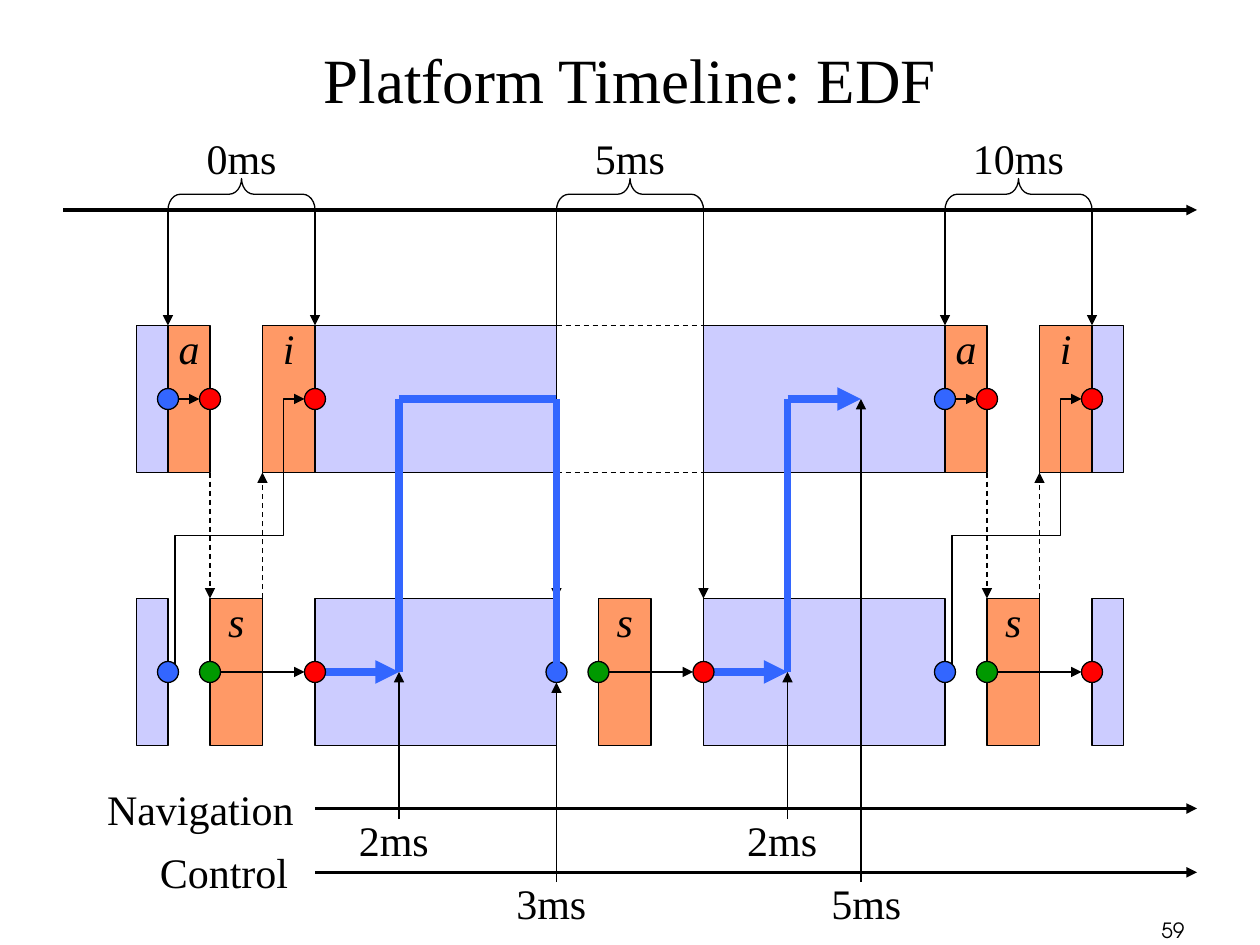
from lxml.etree import SubElement
from pptx import Presentation
from pptx.dml.color import RGBColor
from pptx.enum.dml import MSO_LINE as Dash
from pptx.enum.shapes import MSO_CONNECTOR as Connector, MSO_SHAPE as Shape
from pptx.enum.text import MSO_ANCHOR as Anchor, MSO_AUTO_SIZE as AutoSize, PP_ALIGN as Align
from pptx.oxml.ns import qn
from pptx.util import Pt

THEME = {
    "black": "000000", "idle": "CCCCFF", "task": "FF9966",
    "blue": "3366FF", "green": "009900", "red": "FF0000",
    "font": "Times New Roman", "number_font": "TeX Gyre Adventor",
    "title": 36, "label": 24, "number": 12,
    "thin": 0.75, "axis": 2, "flow": 4.5,
}
TITLE = "Platform Timeline: EDF"
SLIDE_NUMBER = "59"

HALF, CYCLE = 222, 444
AXIS, UPPER, LOWER, BLOCK = 120, 186, 342, 84
UPPER_MIDDLE, LOWER_MIDDLE = UPPER + BLOCK / 2, LOWER + BLOCK / 2
UPPER_END = UPPER + BLOCK
BRACE_WIDTH, BRACE_HEIGHT = 84, 18
RADIUS = 6

IDLE_BLOCKS = [(x, y, width) for y in (UPPER, LOWER)
               for x, width in ((78, 18), (180, 138), (402, 138), (624, 18))]
TASKS = [("s", 342, LOWER, 30)] + [
    (name, x + shift, y, width) for shift in (0, CYCLE)
    for name, x, y, width in (("a", 96, UPPER, 24), ("i", 150, UPPER, 30), ("s", 120, LOWER, 30))]
BLUE_DOTS = [(96, UPPER_MIDDLE), (96, LOWER_MIDDLE), (318, LOWER_MIDDLE),
             (540, UPPER_MIDDLE), (540, LOWER_MIDDLE)]
GREEN_DOTS = [(x, LOWER_MIDDLE) for x in (120, 342, 564)]
RED_DOTS = [(x, UPPER_MIDDLE) for x in (120, 180, 564, 624)] + [
    (x, LOWER_MIDDLE) for x in (180, 402, 624)]

AXES = [(36, AXIS), (180, 462), (180, 498.5)]
AXIS_END = 684
WINDOWS = [(96, UPPER), (318, LOWER), (540, UPPER)]
FLOW = [
    (180, LOWER_MIDDLE, 228, LOWER_MIDDLE, True),
    (228, UPPER_MIDDLE, 318, UPPER_MIDDLE, False),
    (450, UPPER_MIDDLE, 492, UPPER_MIDDLE, True),
    (228, LOWER_MIDDLE, 228, UPPER_MIDDLE, False),
    (318, LOWER_MIDDLE, 318, UPPER_MIDDLE, False),
    (450, LOWER_MIDDLE, 450, UPPER_MIDDLE, False),
    (402, LOWER_MIDDLE, 450, LOWER_MIDDLE, True),
]
MARKS = [(228, 468, LOWER_MIDDLE), (450, 468, LOWER_MIDDLE),
         (492, 504, UPPER_MIDDLE), (318, 504, LOWER_MIDDLE + RADIUS)]
LABELS = [
    ("0ms", 138, 72, 56), ("5ms", 138 + HALF, 72, 56), ("10ms", 138 + CYCLE, 72, 68),
    ("2ms", 225, 462, 56), ("2ms", 225 + HALF, 462, 56),
    ("3ms", 315, 498, 56), ("5ms", 495, 498, 56),
    ("Navigation", 114.5, 444, 122), ("Control", 128, 480, 90),
]

presentation = Presentation()
presentation.slide_width, presentation.slide_height = Pt(720), Pt(540)
slide = presentation.slides.add_slide(presentation.slide_layouts[5])
shapes = slide.shapes
side_middles = {}


def color(name):
    return RGBColor.from_string(THEME[name])


def apply(target, formats):
    for name, value in formats.items():
        setattr(target, name, value)


def write(shape, text, size="label", font="font", align=Align.CENTER, italic=False, **frame):
    apply(shape.text_frame, {"word_wrap": False, **frame})
    paragraph = shape.text_frame.paragraphs[0]
    paragraph.alignment = align
    run = paragraph.add_run()
    run.text = text
    apply(run.font, {"name": THEME[font], "size": Pt(THEME[size]), "italic": italic})
    run.font.color.rgb = color("black")


def add_preset(preset, x, y, width, height, fill=None):
    shape = shapes.add_shape(preset, Pt(x), Pt(y), Pt(width), Pt(height))
    shape.shadow.inherit = False
    if fill:
        shape.fill.solid()
        shape.fill.fore_color.rgb = color(fill)
    else:
        shape.fill.background()
    shape.line.color.rgb = color("black")
    shape.line.width = Pt(THEME["thin"])
    return shape


def add_block(x, y, width, fill):
    block = add_preset(Shape.RECTANGLE, x, y, width, BLOCK, fill)
    side_middles[x, y + BLOCK / 2] = block, 1
    side_middles[x + width, y + BLOCK / 2] = block, 3
    return block


def add_dots(points, fill):
    for x, y in points:
        add_preset(Shape.OVAL, x - RADIUS, y - RADIUS, 2 * RADIUS, 2 * RADIUS, fill)


def style_line(connector, arrow, ink, width, dashed=False):
    connector.line.color.rgb = color(ink)
    connector.line.width = Pt(THEME[width])
    if dashed:
        connector.line.dash_style = Dash.DASH
    if arrow:
        outline = connector._element.spPr.find(qn("a:ln"))
        SubElement(outline, qn("a:tailEnd"), type="triangle")
    SubElement(connector._element.spPr, qn("a:effectLst"))


def add_line(x1, y1, x2, y2, arrow=True, ink="black", width="thin", dashed=False):
    line = shapes.add_connector(Connector.STRAIGHT, Pt(x1), Pt(y1), Pt(x2), Pt(y2))
    for point, join in (((x1, y1), line.begin_connect), ((x2, y2), line.end_connect)):
        if point in side_middles:
            join(*side_middles[point])
    style_line(line, arrow, ink, width, dashed)


def add_rising_elbow(x1, y1, x2, y2, preset, arrow, bend=None):
    length, breadth = y1 - y2, x2 - x1
    left, top = (x1 + x2 - length) / 2, (y1 + y2 - breadth) / 2
    elbow = shapes.add_connector(Connector.ELBOW, Pt(left), Pt(top),
                                 Pt(left + length), Pt(top + breadth))
    properties = elbow._element.spPr
    for name, value in {"rot": "5400000", "flipH": "1", "flipV": "1"}.items():
        properties.find(qn("a:xfrm")).set(name, value)
    geometry = properties.find(qn("a:prstGeom"))
    geometry.set("prst", preset)
    if bend:
        SubElement(geometry.find(qn("a:avLst")), qn("a:gd"), name="adj1", fmla=f"val {bend}")
    style_line(elbow, arrow, "black", "thin")


title = shapes.title
apply(title, {"left": Pt(36), "top": Pt(0), "width": Pt(648), "height": Pt(90)})
write(title, TITLE, "title", word_wrap=True, vertical_anchor=Anchor.MIDDLE)

for x, y, width in IDLE_BLOCKS:
    add_block(x, y, width, "idle")
for y in (UPPER, UPPER_END):
    add_line(318, y, 402, y, False, dashed=True)
for x in (318, 402):
    add_line(x, UPPER_END, x, UPPER, False, ink="idle")
for name, x, y, width in TASKS:
    write(add_block(x, y, width, "task"), name, italic=True,
          vertical_anchor=Anchor.MIDDLE, margin_top=Pt(0), margin_bottom=Pt(59))

add_dots(BLUE_DOTS, "blue")
add_dots(GREEN_DOTS, "green")

for shift in (0, CYCLE):
    add_line(102 + shift, UPPER_MIDDLE, 114 + shift, UPPER_MIDDLE)
    add_line(120 + shift, UPPER_END, 120 + shift, LOWER, dashed=True)
    add_line(150 + shift, LOWER, 150 + shift, UPPER_END, dashed=True)
    add_rising_elbow(100 + shift, 379.5, 162 + shift, 258, "bentConnector3", False, 60400)
    add_line(162 + shift, 264, 162 + shift, 246, False)
    add_rising_elbow(162 + shift, 246, 174 + shift, UPPER_MIDDLE, "bentConnector2", True)
for shift in (0, HALF, CYCLE):
    add_line(126 + shift, LOWER_MIDDLE, 174 + shift, LOWER_MIDDLE)

for x, y in AXES:
    add_line(x, y, AXIS_END, y, width="axis")
for x, bottom in WINDOWS:
    for edge in (x, x + BRACE_WIDTH):
        add_line(edge, AXIS, edge, bottom)
    brace = add_preset(Shape.LEFT_BRACE, x + (BRACE_WIDTH - BRACE_HEIGHT) / 2,
                       AXIS - (BRACE_WIDTH + BRACE_HEIGHT) / 2, BRACE_HEIGHT, BRACE_WIDTH)
    brace.rotation = 90
    brace.adjustments[0] = 0.39

for x1, y1, x2, y2, arrow in FLOW:
    add_line(x1, y1, x2, y2, arrow, "blue", "flow")
add_dots(RED_DOTS, "red")
for x, start, end in MARKS:
    add_line(x, start, x, end)

for text, center, top, width in LABELS:
    label = shapes.add_textbox(Pt(center - width / 2), Pt(top), Pt(width), Pt(36))
    write(label, text, auto_size=AutoSize.SHAPE_TO_FIT_TEXT)
number = shapes.add_textbox(Pt(534), Pt(520.5), Pt(150), Pt(18))
write(number, SLIDE_NUMBER, "number", "number_font", Align.RIGHT, word_wrap=True)

presentation.save("out.pptx")
